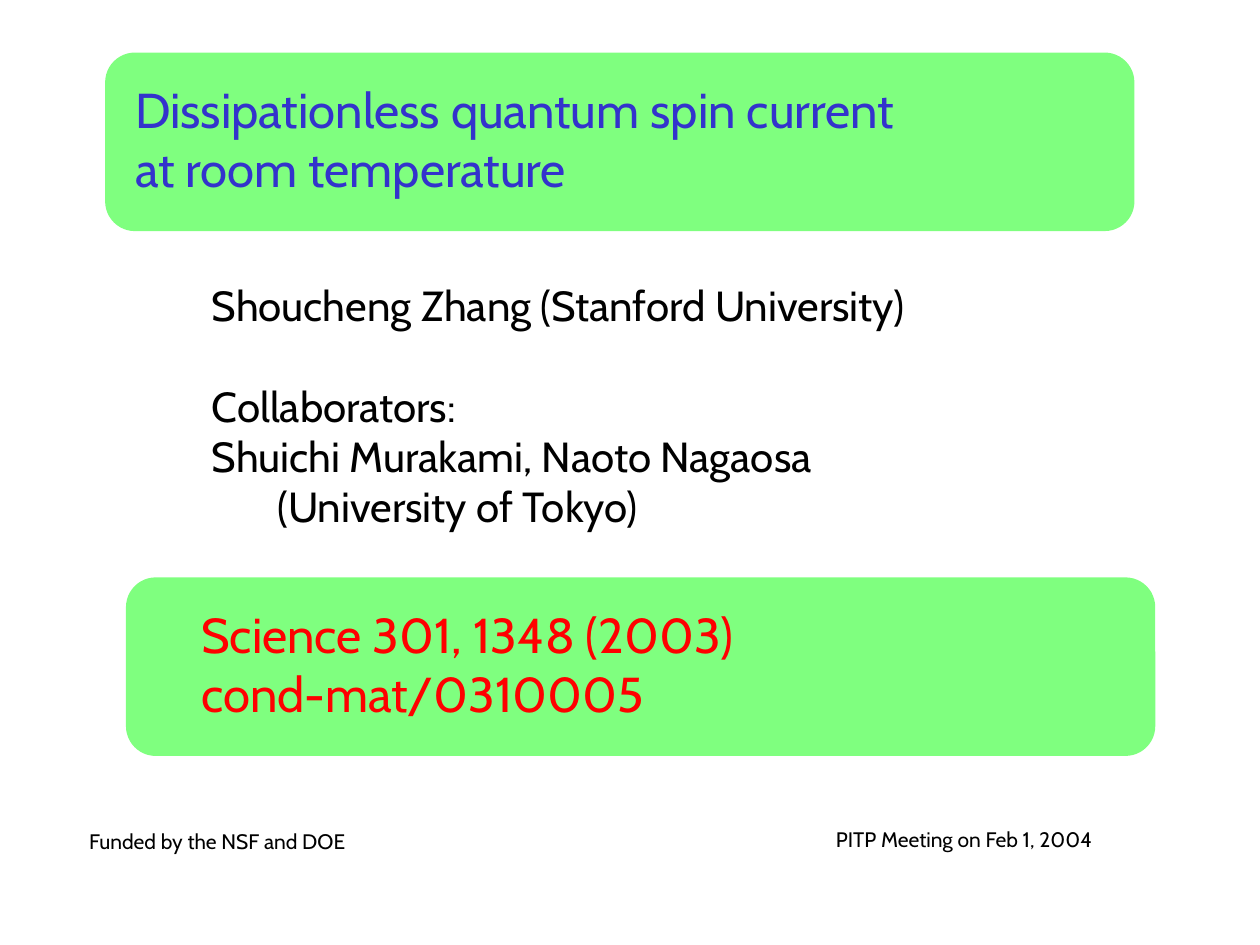
from collections import namedtuple
from dataclasses import dataclass

from lxml import etree
from pptx import Presentation
from pptx.dml.color import RGBColor
from pptx.enum.shapes import MSO_SHAPE
from pptx.enum.text import MSO_ANCHOR, MSO_AUTO_SIZE, PP_ALIGN
from pptx.oxml.ns import qn
from pptx.util import Cm, Pt

ROUNDED = MSO_SHAPE.ROUNDED_RECTANGLE
TOP = MSO_ANCHOR.TOP
LEFT = PP_ALIGN.LEFT
NO_FIT = MSO_AUTO_SIZE.NONE

Box = namedtuple("Box", "x y w h")
Line = namedtuple("Line", "text before indent", defaults=(0, 0))


@dataclass(frozen=True)
class Theme:
    """Colours, font and type sizes of the slide."""
    font: str = "Cabin"
    panel: RGBColor = RGBColor(0x00, 0xFF, 0x00)
    panel_alpha: int = 50
    title: RGBColor = RGBColor(0x33, 0x33, 0xCC)
    citation: RGBColor = RGBColor(0xFF, 0x00, 0x00)
    body: RGBColor = RGBColor(0x00, 0x00, 0x00)
    large: int = 28
    medium: int = 24
    small: int = 12


THEME = Theme()


def place(sp, box):
    """Move and size a shape to a box in centimetres."""
    sp.left, sp.top, sp.width, sp.height = (Cm(v) for v in box)


def write(sp, lines, *, size, color):
    """Fill a shape with left-aligned lines in one format."""
    tf = sp.text_frame
    tf.word_wrap = True
    tf.auto_size = NO_FIT
    tf.vertical_anchor = TOP
    for i, line in enumerate(lines):
        p = tf.add_paragraph() if i else tf.paragraphs[0]
        p.alignment = LEFT
        p.space_before = Pt(line.before)
        if line.indent:
            p._p.get_or_add_pPr().set("marL", str(Cm(line.indent)))
        r = p.add_run()
        r.text = line.text
        r.font.name = THEME.font
        r.font.size = Pt(size)
        r.font.color.rgb = color


def add_text(slide, box, lines, **fmt):
    """Add a text box holding the lines."""
    sp = slide.shapes.add_textbox(*(Cm(v) for v in box))
    write(sp, lines, **fmt)


def add_panel(slide, box):
    """Add a translucent rounded panel."""
    sp = slide.shapes.add_shape(ROUNDED, *(Cm(v) for v in box))
    sp.shadow.inherit = False
    sp.line.fill.background()
    sp.fill.solid()
    sp.fill.fore_color.rgb = THEME.panel
    color = sp._element.spPr.find(f".//{qn('a:srgbClr')}")
    etree.SubElement(color, qn("a:alpha"), val=str(THEME.panel_alpha * 1000))


def add_title(slide, box):
    """Set the title placeholder on top of its panel."""
    add_panel(slide, box)
    title = slide.shapes.title
    slide.shapes._spTree.append(title._element)
    place(title, Box(box.x + 0.35, box.y + 0.42, 17.88, 2.64))
    write(title, [Line("Dissipationless quantum spin current"),
                  Line("at room temperature")],
          size=THEME.large, color=THEME.title)


def add_authors(slide, box):
    """List the speaker and the collaborators."""
    add_text(slide, box, [
        Line("Shoucheng Zhang (Stanford University)"),
        Line("Collaborators:", before=29),
        Line("Shuichi Murakami, Naoto Nagaosa"),
        Line("(University of Tokyo)", indent=1.33),
    ], size=THEME.medium, color=THEME.body)


def add_citation(slide, box):
    """Show the publication on its panel."""
    add_panel(slide, box)
    add_text(slide, Box(box.x + 1.27, box.y + 0.42, 11.92, 2.64),
             [Line("Science 301, 1348 (2003)"), Line("cond-mat/0310005")],
             size=THEME.large, color=THEME.citation)


def add_footer(slide, box):
    """Put the funding note at the left and the meeting at the right."""
    w = 6.1
    notes = [(box.x, box.y + 0.05, "Funded by the NSF and DOE"),
             (box.x + box.w - w, box.y, "PITP Meeting on Feb 1, 2004")]
    for x, y, text in notes:
        add_text(slide, Box(x, y, w, box.h), [Line(text)],
                 size=THEME.small, color=THEME.body)


def main():
    """Build and save the slide."""
    prs = Presentation()
    prs.slide_width, prs.slide_height = Cm(25.4), Cm(19.05)
    slide = prs.slides.add_slide(prs.slide_layouts[5])
    add_title(slide, Box(2.12, 1.06, 20.75, 3.6))
    add_authors(slide, Box(4.02, 5.5, 17.78, 5.33))
    add_citation(slide, Box(2.54, 11.64, 20.75, 3.6))
    add_footer(slide, Box(1.55, 16.53, 21.15, 0.8))
    prs.save("out.pptx")


if __name__ == "__main__":
    main()
